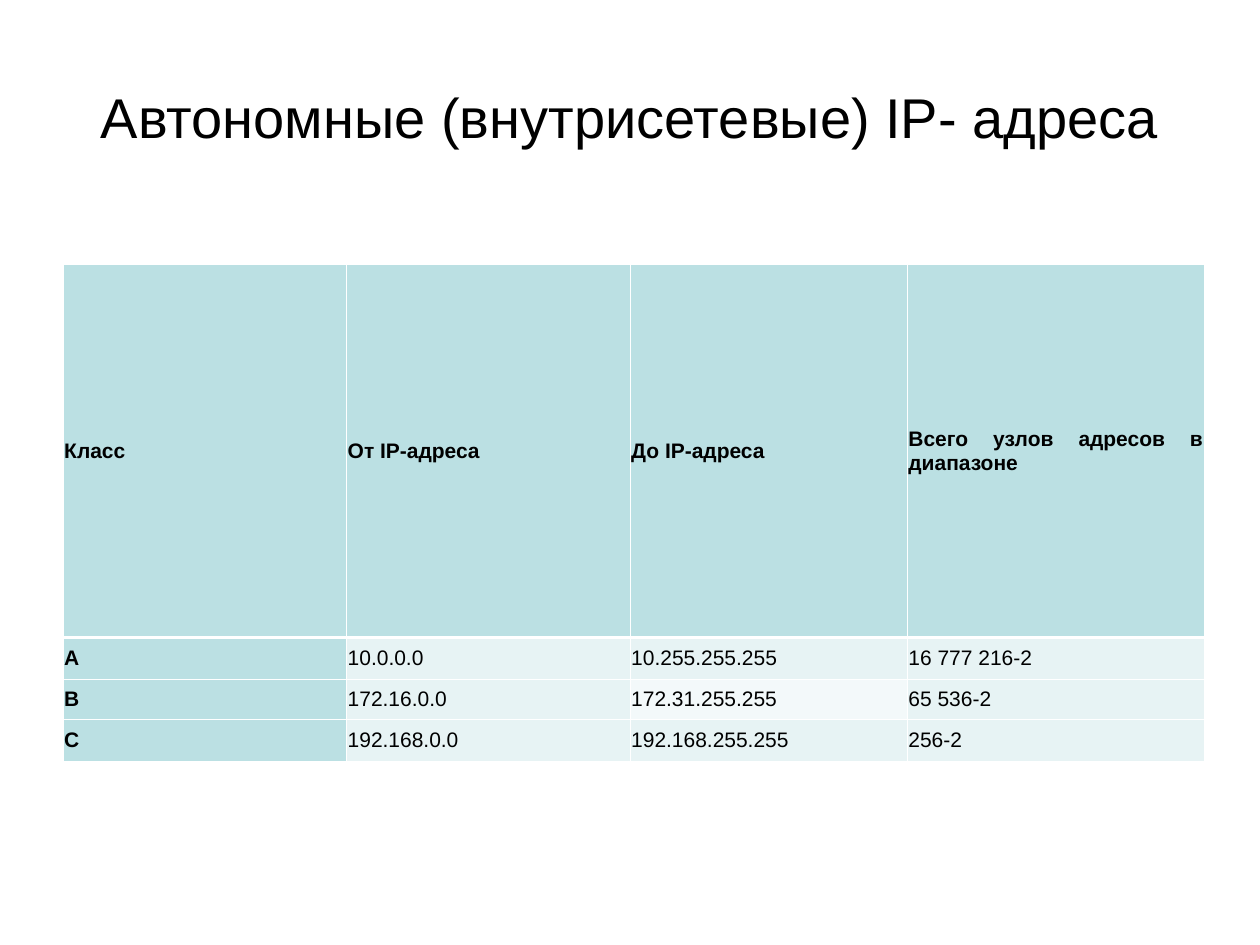
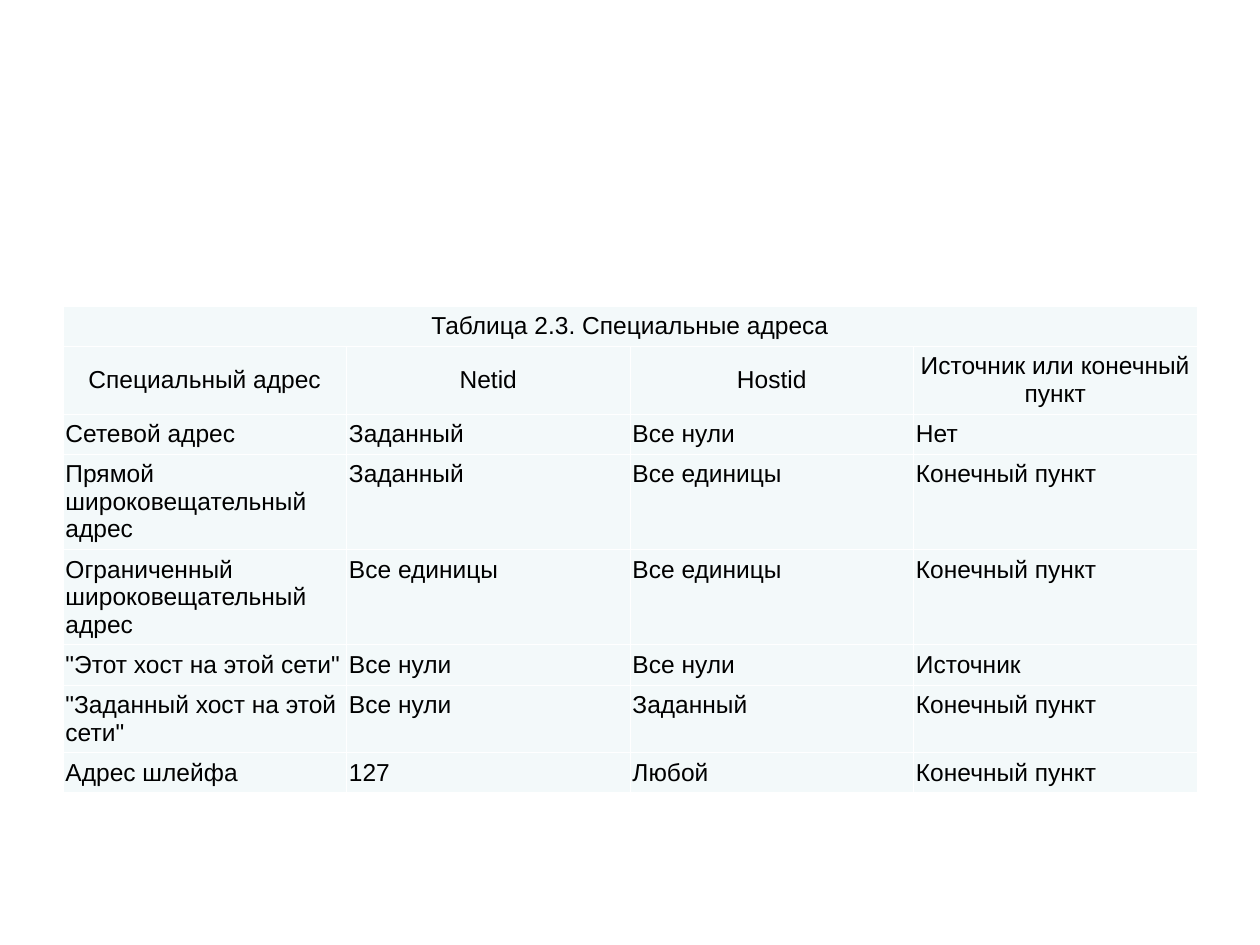
from dataclasses import dataclass, field

from lxml import etree
from pptx import Presentation
from pptx import util as u
from pptx.dml import color
from pptx.enum import text
from pptx.oxml import ns

FACE = "Arial"
INK = "000000"
WHITE = "FFFFFF"
TEAL = "BBE0E3"
PALE = "E7F3F4"
MIST = "F3F9FA"
LEFT = 0.5
THIN, THICK = 0.45, 1.47

ALIGN = text.PP_ALIGN
MIDDLE = text.MSO_ANCHOR.MIDDLE
TOP = text.MSO_ANCHOR.TOP


@dataclass
class Look:
    fill: str
    align: ALIGN
    anchor: text.MSO_ANCHOR = MIDDLE
    bold: bool = False
    lines: dict[str, float] = field(default_factory=dict)


@dataclass
class Grid:
    top: float
    cols: list[float]
    rows: list[float]
    words: list[list[str]]
    size: int
    pad: float


def rgb(code: str) -> color.RGBColor:
    return color.RGBColor.from_string(code)


def style(par, size: int, align: ALIGN, bold: bool = False) -> None:
    par.alignment = align
    font = par.font
    font.name, font.size, font.bold = FACE, u.Pt(size), bold
    font.color.rgb = rgb(INK)


def edge(cell, lines: dict[str, float]) -> None:
    props = cell._tc.get_or_add_tcPr()
    for side in "LRTB":
        line = etree.SubElement(props, ns.qn(f"a:ln{side}"),
                                w=str(u.Pt(lines.get(side, THIN))))
        fill = etree.SubElement(line, ns.qn("a:solidFill"))
        etree.SubElement(fill, ns.qn("a:srgbClr"), val=WHITE)


def paint(cell, words: str, look: Look, grid: Grid) -> None:
    cell.text = words
    cell.vertical_anchor = look.anchor
    cell.margin_left = cell.margin_right = u.Inches(grid.pad)
    cell.margin_top = cell.margin_bottom = u.Inches(0.05)
    edge(cell, look.lines)
    cell.fill.solid()
    cell.fill.fore_color.rgb = rgb(look.fill)
    style(cell.text_frame.paragraphs[0], grid.size, look.align, look.bold)


def draw(slide, grid: Grid, pick):
    frame = slide.shapes.add_table(
        len(grid.rows), len(grid.cols), u.Inches(LEFT), u.Inches(grid.top),
        u.Inches(sum(grid.cols)), u.Inches(sum(grid.rows)))
    table = frame.table
    table.first_row = table.horz_banding = False
    for col, width in zip(table.columns, grid.cols):
        col.width = u.Inches(width)
    for row, height in zip(table.rows, grid.rows):
        row.height = u.Inches(height)
    for r, line in enumerate(grid.words):
        for c, words in enumerate(line):
            paint(table.cell(r, c), words, pick(r, c), grid)
    return table


def range_look(r: int, c: int) -> Look:
    head = r == 0 or c == 0
    fill = TEAL if head else MIST if (r, c) == (2, 2) else PALE
    lines = {0: {"B": THICK}, 1: {"T": THICK}}.get(r, {})
    return Look(fill, ALIGN.JUSTIFY, bold=head, lines=lines)


def host_look(r: int, c: int) -> Look:
    if r < 2:
        return Look(MIST, ALIGN.CENTER)
    return Look(MIST, ALIGN.LEFT, TOP)


RANGES = Grid(
    2.1, [2.25, 2.25, 2.2, 2.36], [2.96, 0.33, 0.32, 0.33],
    [
        ["Класс", "От IP-адреса", "До IP-адреса",
         "Всего узлов адресов в диапазоне"],
        ["A", "10.0.0.0", "10.255.255.255", "16 777 216-2"],
        ["B", "172.16.0.0", "172.31.255.255", "65 536-2"],
        ["C", "192.168.0.0", "192.168.255.255", "256-2"],
    ], 12, 0.01)

HOSTS = Grid(
    2.43, [2.25] * 4, [0.28, 0.51, 0.28, 0.74, 0.74, 0.28, 0.51, 0.28],
    [
        ["Таблица 2.3. Специальные адреса", "", "", ""],
        ["Специальный адрес", "Netid", "Hostid",
         "Источник или конечный пункт"],
        ["Сетевой адрес", "Заданный", "Все нули", "Нет"],
        ["Прямой широковещательный адрес", "Заданный", "Все единицы",
         "Конечный пункт"],
        ["Ограниченный широковещательный адрес", "Все единицы",
         "Все единицы", "Конечный пункт"],
        ['"Этот хост на этой сети"', "Все нули", "Все нули", "Источник"],
        ['"Заданный хост на этой сети"', "Все нули", "Заданный",
         "Конечный пункт"],
        ["Адрес шлейфа", "127", "Любой", "Конечный пункт"],
    ], 14, 0.02)


def main() -> None:
    deck = Presentation()
    deck.slide_width, deck.slide_height = u.Inches(10), u.Inches(7.5)

    slide = deck.slides.add_slide(deck.slide_layouts[5])
    title = slide.shapes.title
    title.left, title.top = u.Inches(LEFT), u.Inches(0.3)
    title.width, title.height = u.Inches(9), u.Inches(1.25)
    title.text_frame.text = "Автономные (внутрисетевые) ІР- адреса"
    title.text_frame.vertical_anchor = MIDDLE
    style(title.text_frame.paragraphs[0], 32, ALIGN.CENTER)
    draw(slide, RANGES, range_look)

    slide = deck.slides.add_slide(deck.slide_layouts[6])
    table = draw(slide, HOSTS, host_look)
    table.cell(0, 0).merge(table.cell(0, 3))

    deck.save("out.pptx")


if __name__ == "__main__":
    main()
